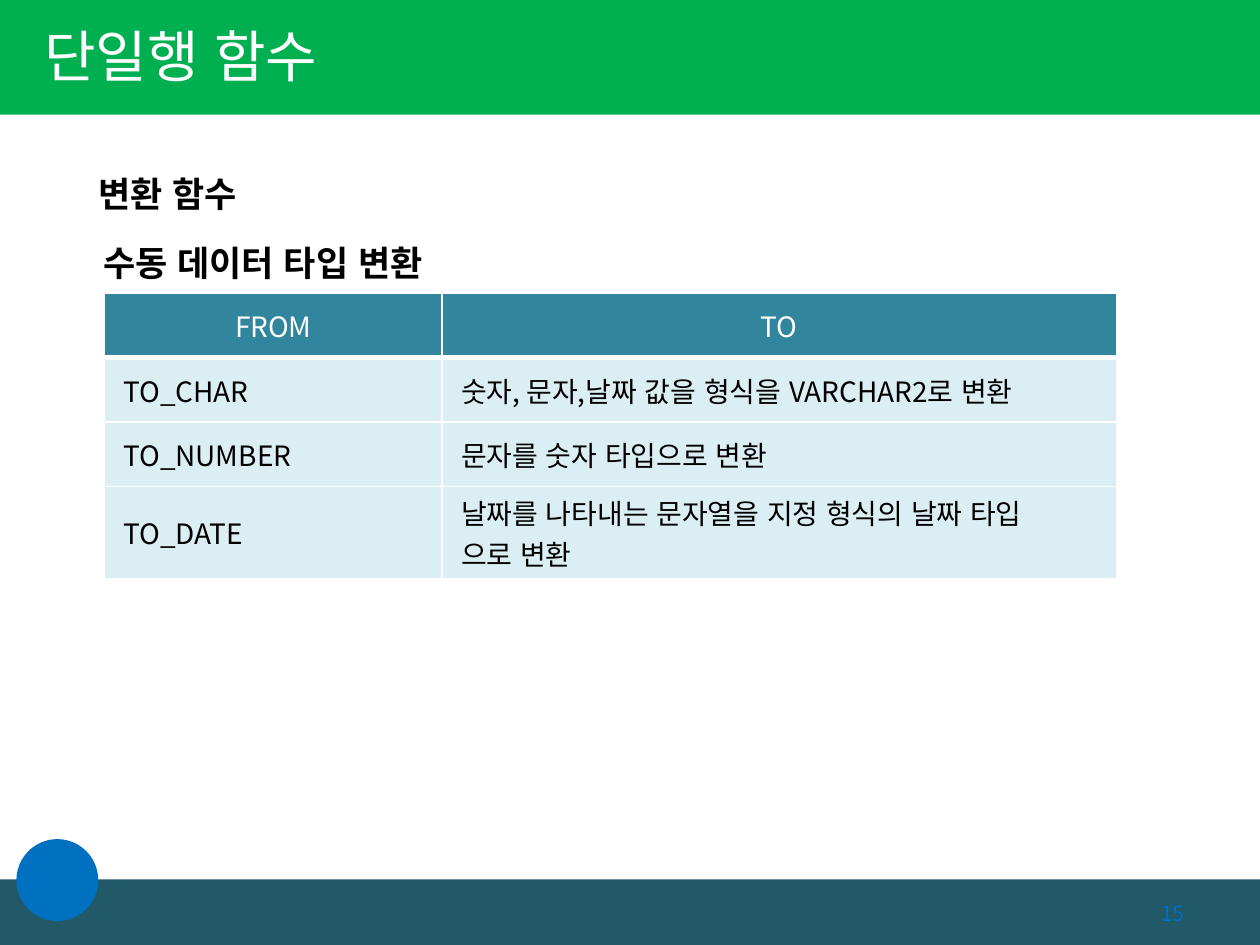
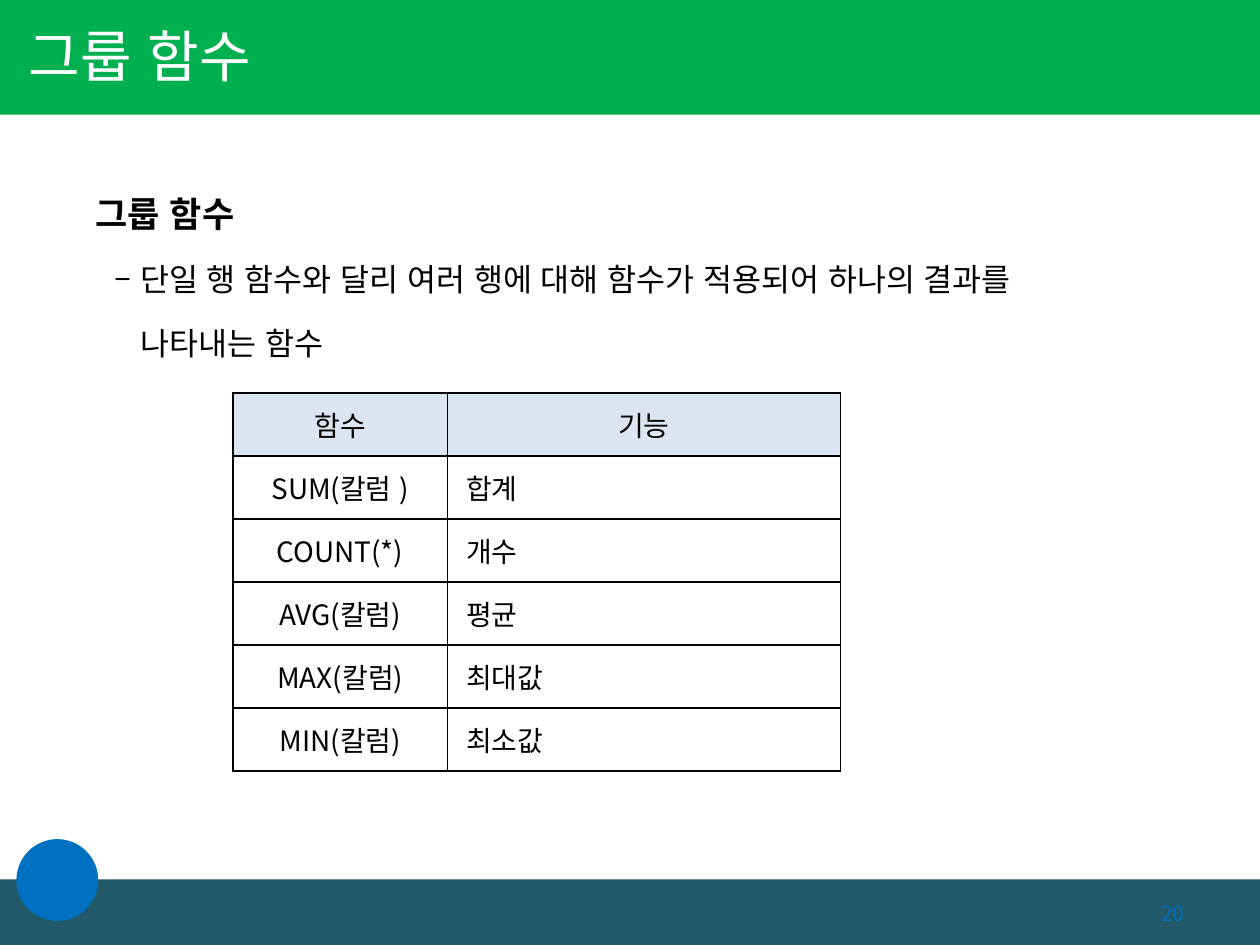
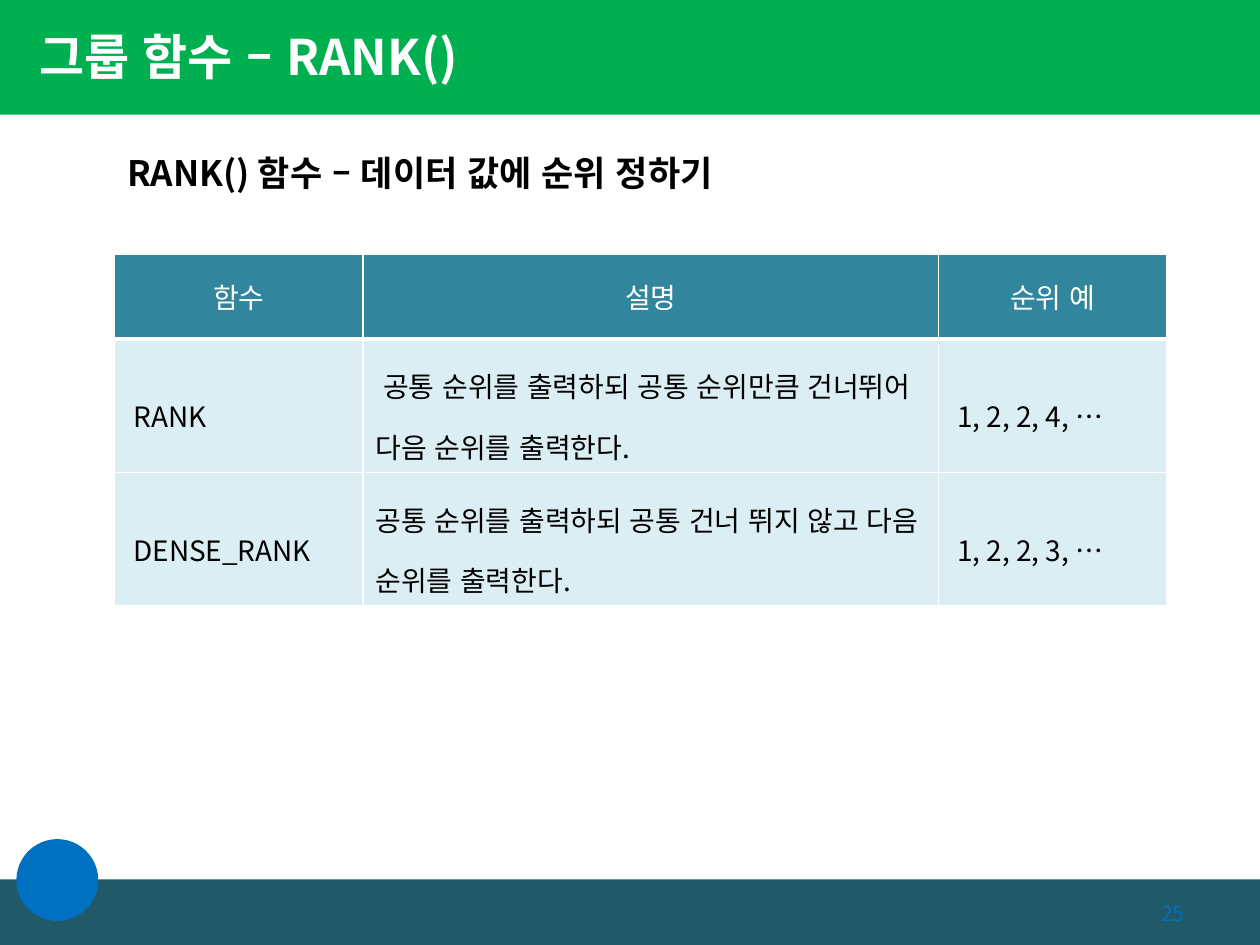
"""Build three slides on SQL single-row, group and ranking functions."""
from lxml import etree
from pptx import Presentation
from pptx.dml.color import RGBColor
from pptx.enum import lang, shapes, text
from pptx.oxml import ns
from pptx.util import Inches, Pt

FONT = "Noto Sans CJK KR"
WHITE = RGBColor(0xFF, 0xFF, 0xFF)
BLACK = RGBColor(0x00, 0x00, 0x00)
GREEN = RGBColor(0x00, 0xB0, 0x50)
DARK_TEAL = RGBColor(0x21, 0x59, 0x68)
TEAL = RGBColor(0x31, 0x85, 0x9C)
PALE_TEAL = RGBColor(0xDB, 0xEE, 0xF4)
PALE_BLUE = RGBColor(0xDC, 0xE6, 0xF2)
BLUE = RGBColor(0x00, 0x70, 0xC0)
LEFT, CENTER, RIGHT = text.PP_ALIGN.LEFT, text.PP_ALIGN.CENTER, text.PP_ALIGN.RIGHT
RECTANGLE, OVAL = shapes.MSO_SHAPE.RECTANGLE, shapes.MSO_SHAPE.OVAL


def format_paragraph(paragraph, size, color=BLACK, bold=False, align=LEFT):
    """Set the alignment of a paragraph and the font of its runs."""
    paragraph.alignment = align
    for run in paragraph.runs:
        run.font.size = Pt(size)
        run.font.bold = bold
        run.font.color.rgb = color
        run.font.name = FONT
        run.font.language_id = lang.MSO_LANGUAGE_ID.KOREAN
        east_asian = etree.SubElement(run.font._element, ns.qn("a:ea"))
        east_asian.set("typeface", FONT)


def add_layout_shape(slide, layout, kind, box, fill):
    """Draw a filled shape and place it on the layout shared by all slides."""
    shape = slide.shapes.add_shape(kind, *map(Inches, box))
    shape.shadow.inherit = False
    shape.fill.solid()
    shape.fill.fore_color.rgb = fill
    shape.line.fill.background()
    layout.shapes.element.append(shape.element)


def decorate_layout(slide, layout):
    """Give the layout its bands and corner dot, keeping only the title placeholder."""
    for placeholder in list(layout.placeholders):
        if placeholder.placeholder_format.idx != 0:
            layout.shapes.element.remove(placeholder.element)
    add_layout_shape(slide, layout, RECTANGLE, (0, 6.98, 10, 0.52), DARK_TEAL)
    add_layout_shape(slide, layout, OVAL, (0.13, 6.66, 0.65, 0.65), BLUE)
    add_layout_shape(slide, layout, RECTANGLE, (0, 0, 10, 0.91), GREEN)


def add_text(slide, box, lines, spacing=1.5, before=4):
    """Add a text box; each line is text, size, bold, alignment, indent and colour."""
    frame = slide.shapes.add_textbox(*map(Inches, box)).text_frame
    frame.word_wrap = True
    for index, (content, size, bold, align, indent, color) in enumerate(lines):
        paragraph = frame.add_paragraph() if index else frame.paragraphs[0]
        paragraph.text = content
        paragraph.line_spacing = spacing
        paragraph.space_before = Pt(before)
        format_paragraph(paragraph, size, color, bold, align)
        paragraph._p.get_or_add_pPr().set("marL", str(Inches(indent)))


def add_heading(slide, box, content, spacing=1.5, before=4):
    """Add a bold section heading."""
    add_text(slide, box, [(content, 20, True, LEFT, 0, BLACK)], spacing, before)


def add_titled_slide(presentation, title, number, inset, size=32, bold=False):
    """Add a slide with its title in the top band and its number in the bottom one."""
    slide = presentation.slides.add_slide(presentation.slide_layouts[5])
    shape = slide.shapes.title
    shape.left, shape.top, shape.width, shape.height = map(Inches, (0, -0.03, 6.26, 0.94))
    frame = shape.text_frame
    frame.text = title
    frame.auto_size = text.MSO_AUTO_SIZE.NONE
    frame.vertical_anchor = text.MSO_ANCHOR.MIDDLE
    frame.margin_left = Inches(inset)
    format_paragraph(frame.paragraphs[0], size, WHITE, bold)
    add_text(slide, (8.5, 7.1, 1, 0.34), [(str(number), 12, False, RIGHT, 0, BLUE)], 1, 0)
    return slide


def set_border(cell, side, color, width):
    """Draw one border of a cell; side is L, R, T or B."""
    properties = cell._tc.get_or_add_tcPr()
    line = etree.SubElement(properties, ns.qn(f"a:ln{side}"), w=str(Pt(width)))
    fill = etree.SubElement(line, ns.qn("a:solidFill"))
    etree.SubElement(fill, ns.qn("a:srgbClr"), val=str(color))


def add_function_table(slide, box, widths, heights, rows, header_fill=TEAL, header_color=WHITE,
                       body_fill=PALE_TEAL, border=WHITE, rule=3, spacing=1.0,
                       centered=(), flush=()):
    """Add a table with a centred header row, a rule below it and plain body rows."""
    table = slide.shapes.add_table(len(rows), len(widths), *map(Inches, box)).table
    table.first_row = table.horz_banding = False
    for column, width in zip(table.columns, widths):
        column.width = Inches(width)
    for row, height in zip(table.rows, heights):
        row.height = Inches(height)
    for row_index, values in enumerate(rows):
        header = row_index == 0
        fill = header_fill if header else body_fill
        for column_index, value in enumerate(values):
            cell = table.cell(row_index, column_index)
            center = header or column_index in centered
            cell.text = value
            cell.vertical_anchor = text.MSO_ANCHOR.MIDDLE
            cell.margin_left = Inches(0.1 if center or column_index in flush else 0.15)
            for paragraph in cell.text_frame.paragraphs:
                paragraph.line_spacing = 1.0 if header else spacing
                format_paragraph(paragraph, 16, header_color if header else BLACK,
                                 align=CENTER if center else LEFT)
            for side, width in (("L", 1), ("R", 1), ("T", 1), ("B", rule if header else 1)):
                set_border(cell, side, border, width)
            if fill is None:
                cell.fill.background()
            else:
                cell.fill.solid()
                cell.fill.fore_color.rgb = fill


def add_conversion_slide(presentation):
    """Add the slide on conversion functions."""
    slide = add_titled_slide(presentation, "단일행 함수", 15, 0.35)
    decorate_layout(slide, slide.slide_layout)
    add_heading(slide, (0.68, 1.15, 2.36, 0.55), "변환 함수")
    add_function_table(slide, (0.83, 2.33, 8.03, 2.26), (2.68, 5.35), (0.51, 0.51, 0.51, 0.73), [
        ("FROM", "TO"),
        ("TO_CHAR", "숫자, 문자,날짜 값을 형식을 VARCHAR2로 변환"),
        ("TO_NUMBER", "문자를 숫자 타입으로 변환"),
        ("TO_DATE", "날짜를 나타내는 문자열을 지정 형식의 날짜 타입\n으로 변환"),
    ])
    add_heading(slide, (0.72, 1.7, 4.33, 0.55), "수동 데이터 타입 변환")


def add_group_slide(presentation):
    """Add the slide on group functions."""
    slide = add_titled_slide(presentation, "그룹 함수", 20, 0.23)
    add_text(slide, (0.66, 1.31, 8.65, 1.65), [
        ("그룹 함수", 20, True, LEFT, 0, BLACK),
        ("– 단일 행 함수와 달리 여러 행에 대해 함수가 적용되어 하나의 결과를",
         18, False, LEFT, 0.15, BLACK),
        ("나타내는 함수", 18, False, LEFT, 0.36, BLACK),
    ])
    add_function_table(slide, (1.85, 3.12, 4.82, 3), (1.7, 3.12), [0.5] * 6, [
        ("함수", "기능"),
        ("SUM(칼럼 )", "합계"),
        ("COUNT(*)", "개수"),
        ("AVG(칼럼)", "평균"),
        ("MAX(칼럼)", "최대값"),
        ("MIN(칼럼)", "최소값"),
    ], PALE_BLUE, BLACK, None, BLACK, rule=1, centered=(0,))


def add_rank_slide(presentation):
    """Add the slide on ranking functions."""
    slide = add_titled_slide(presentation, "그룹 함수 – RANK()", 25, 0.31, 28, True)
    add_heading(slide, (0.91, 1.15, 6.69, 0.44), "RANK() 함수 – 데이터 값에 순위 정하기", 1, 0)
    add_function_table(slide, (0.91, 2.02, 8.35, 2.79), (1.97, 4.57, 1.81), (0.67, 1.06, 1.06), [
        ("함수", "설명", "순위 예"),
        ("RANK", " 공통 순위를 출력하되 공통 순위만큼 건너뛰어 다음 순위를 출력한다.", "1, 2, 2, 4, …"),
        ("DENSE_RANK", "공통 순위를 출력하되 공통 건너 뛰지 않고 다음 순위를 출력한다.", "1, 2, 2, 3, …"),
    ], spacing=1.5, flush=(1,))


def main():
    """Build and save the presentation."""
    presentation = Presentation()
    presentation.slide_width, presentation.slide_height = Inches(10), Inches(7.5)
    add_conversion_slide(presentation)
    add_group_slide(presentation)
    add_rank_slide(presentation)
    presentation.save("out.pptx")


if __name__ == "__main__":
    main()
